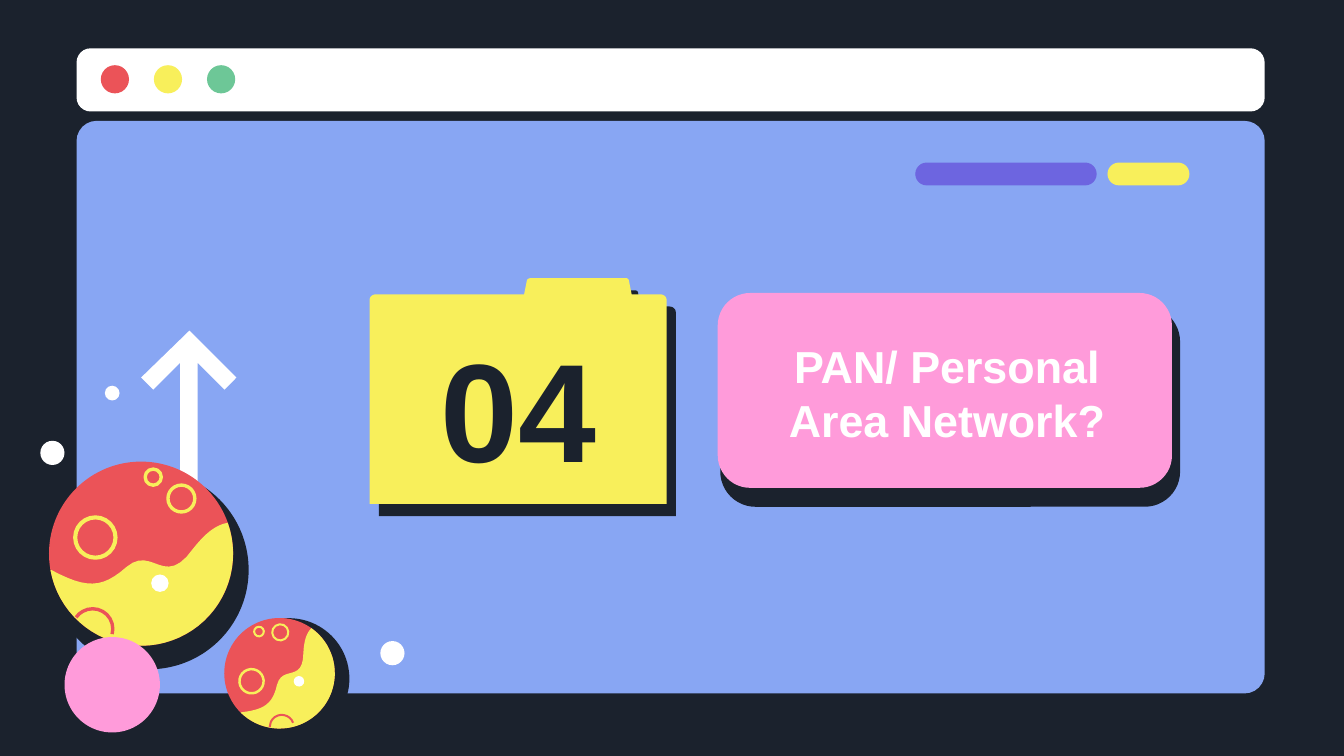
from dataclasses import dataclass
from math import atan2, cos, degrees, radians, sin

from lxml.etree import SubElement
from pptx import Presentation
from pptx.dml.color import RGBColor
from pptx.enum.shapes import MSO_SHAPE
from pptx.enum.text import MSO_ANCHOR, MSO_AUTO_SIZE, PP_ALIGN
from pptx.oxml.ns import qn
from pptx.util import Inches, Pt

OVAL = MSO_SHAPE.OVAL
ROUND = MSO_SHAPE.ROUNDED_RECTANGLE
ARC = MSO_SHAPE.ARC
MIDDLE = MSO_ANCHOR.MIDDLE
CENTER = PP_ALIGN.CENTER
FIXED = MSO_AUTO_SIZE.NONE


@dataclass(frozen=True)
class Theme:
    dark: RGBColor = RGBColor.from_string("1B222D")
    white: RGBColor = RGBColor.from_string("FFFFFF")
    blue: RGBColor = RGBColor.from_string("88A6F3")
    red: RGBColor = RGBColor.from_string("EB5358")
    yellow: RGBColor = RGBColor.from_string("F8EF5B")
    green: RGBColor = RGBColor.from_string("6DC797")
    purple: RGBColor = RGBColor.from_string("6D65E0")
    pink: RGBColor = RGBColor.from_string("FF9BDA")
    font: str = "Arial"
    large: Pt = Pt(75)
    small: Pt = Pt(24)


theme = Theme()
deck = Presentation()
deck.slide_width = Inches(10)
deck.slide_height = Inches(10) * 9 // 16
slide = deck.slides.add_slide(deck.slide_layouts[5])
slide.background.fill.solid()
slide.background.fill.fore_color.rgb = theme.dark
shapes = slide.shapes


def add(kind, x, y, w, h, fill=None, line=None, width=0, adjust=()):
    shape = shapes.add_shape(kind, Inches(x), Inches(y), Inches(w), Inches(h))
    shape.shadow.inherit = False
    for index, value in enumerate(adjust):
        shape.adjustments[index] = value
    if fill is None:
        shape.fill.background()
    else:
        shape.fill.solid()
        shape.fill.fore_color.rgb = fill
    if line is None:
        shape.line.fill.background()
    else:
        shape.line.color.rgb = line
        shape.line.width = Pt(width)
    return shape


def outline(steps, fill):
    points = []
    for step in steps:
        if len(step) == 1:
            points += step
            continue
        a, b, c, d = points[-1], *step
        for n in range(1, 13):
            t = n / 12
            u = 1 - t
            points.append(tuple(
                u**3 * i + 3 * u * u * t * j + 3 * u * t * t * k + t**3 * m
                for i, j, k, m in zip(a, b, c, d)))
    points = [(Inches(x), Inches(y)) for x, y in points]
    pen = shapes.build_freeform(*points[0])
    pen.add_line_segments(points[1:], close=True)
    shape = pen.convert_to_shape()
    shape.shadow.inherit = False
    shape.fill.solid()
    shape.fill.fore_color.rgb = fill
    shape.line.fill.background()
    return shape


add(ROUND, 0.57, 0.9, 8.84, 4.26, theme.blue, adjust=[0.035])
add(ROUND, 0.57, 0.36, 8.84, 0.47, theme.white, adjust=[0.223])
for n, color in enumerate((theme.red, theme.yellow, theme.green)):
    add(OVAL, 0.75 + n * 0.395, 0.485, 0.21, 0.21, color)
for x, w, color in ((6.81, 1.35, theme.purple), (8.24, 0.61, theme.yellow)):
    add(ROUND, x, 1.21, w, 0.17, color, adjust=[0.5])
add(OVAL, 0.3, 3.28, 0.18, 0.18, theme.white)

arrow = [(1.34, 4.29), (1.34, 2.7), (1.14, 2.9), (1.05, 2.81), (1.41, 2.46),
         (1.76, 2.81), (1.67, 2.9), (1.47, 2.7), (1.47, 4.29)]
outline([[point] for point in arrow], theme.white)

add(ROUND, 5.38, 2.3, 3.38, 1.45, theme.dark, theme.dark, 3, [0.167])
add(ROUND, 5.34, 2.18, 3.38, 1.45, theme.pink, adjust=[0.167])

folder = outline([
    [(4.96, 2.23)], [(4.96, 3.75)], [(2.75, 3.75)], [(2.75, 2.23)],
    [(2.75, 2.21), (2.77, 2.19), (2.8, 2.19)], [(3.9, 2.19)], [(3.92, 2.09)],
    [(3.92, 2.08), (3.93, 2.07), (3.95, 2.07)], [(4.66, 2.07)],
    [(4.67, 2.07), (4.68, 2.08), (4.68, 2.09)], [(4.7, 2.19)], [(4.91, 2.19)],
    [(4.94, 2.19), (4.96, 2.21), (4.96, 2.23)],
], theme.yellow)
effects = folder.element.spPr.find(qn("a:effectLst"))
shade = SubElement(effects, qn("a:outerShdw"), blurRad="0", dist=str(Pt(8.2)),
                   dir=str(53 * 60000), algn="bl", rotWithShape="0")
SubElement(shade, qn("a:srgbClr"), val=str(theme.dark))

radius = 0.685
wave = [
    [(-0.67, 0.12)],
    [(-0.41, 0.26), (-0.29, 0.26), (-0.11, 0.1)],
    [(0.09, -0.07), (0.17, 0.27), (0.39, -0.04)],
    [(0.5, -0.18), (0.58, -0.22), (0.65, -0.23)],
]
first = degrees(atan2(-0.23, 0.65))
last = degrees(atan2(0.12, -0.67))
for n in range(41):
    angle = radians(first + (last - first) * n / 40)
    wave.append([(radius * cos(angle), radius * sin(angle))])

marks = [
    (OVAL, -0.34, -0.12, 0.3, None, theme.yellow, 2.2, ()),
    (OVAL, 0.3, -0.41, 0.2, None, theme.yellow, 1.8, ()),
    (OVAL, 0.09, -0.57, 0.12, None, theme.yellow, 1.8, ()),
    (ARC, -0.36, 0.56, 0.3, None, theme.red, 1.8, (129, 9)),
    (OVAL, 0.14, 0.22, 0.13, theme.white, None, 0, ()),
]
planets = [
    (1.05, 4.12, 1, 0, (0.37, 3.5, 1.48)),
    (2.08, 5.01, 0.6, -35.2, (1.7, 4.6, 0.9)),
]
for cx, cy, scale, turn, (left, top, size) in planets:
    add(OVAL, left, top, size, size, theme.dark)
    r = radius * scale
    add(OVAL, cx - r, cy - r, 2 * r, 2 * r, theme.red)
    c = scale * cos(radians(turn))
    s = scale * sin(radians(turn))
    outline([[(cx + x * c - y * s, cy + x * s + y * c) for x, y in step]
             for step in wave], theme.yellow)
    for kind, x, y, size, fill, line, width, adjust in marks:
        d = size * scale
        mark = add(kind, cx + x * c - y * s - d / 2, cy + x * s + y * c - d / 2,
                   d, d, fill, line, width * scale, adjust)
        mark.rotation = turn

dots = [(0.48, 4.74, 0.71, theme.pink), (2.83, 4.77, 0.18, theme.white),
        (0.78, 2.87, 0.11, theme.white)]
for x, y, d, color in dots:
    add(OVAL, x, y, d, d, color)

title = shapes.title
title.element.getparent().append(title.element)
label = shapes.add_textbox(0, 0, 0, 0)
texts = [
    (title, (3.01, 2.53, 1.7, 0.99), "04", theme.large, theme.dark),
    (label, (5.45, 2.46, 3.19, 0.92), "PAN/ Personal Area Network?",
     theme.small, theme.white),
]
for box, place, words, size, color in texts:
    for name, value in zip(("left", "top", "width", "height"), place):
        setattr(box, name, Inches(value))
    frame = box.text_frame
    frame.text = words
    style = {"word_wrap": True, "auto_size": FIXED, "vertical_anchor": MIDDLE}
    for side in ("left", "top", "right", "bottom"):
        style["margin_" + side] = Inches(0.1)
    for name, value in style.items():
        setattr(frame, name, value)
    line = frame.paragraphs[0]
    line.alignment = CENTER
    font = line.runs[0].font
    for name, value in {"name": theme.font, "size": size, "bold": True}.items():
        setattr(font, name, value)
    font.color.rgb = color

deck.save("out.pptx")
